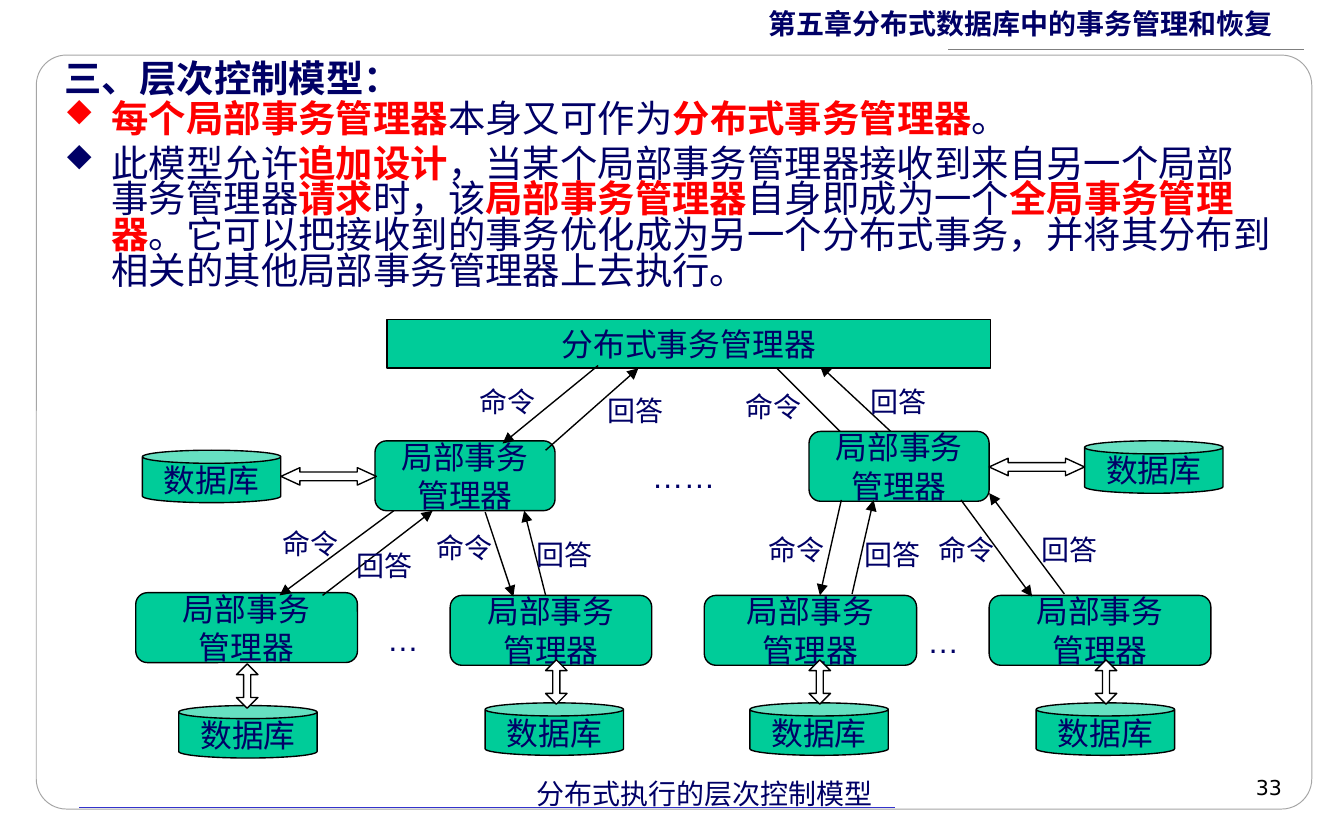
from typing import NamedTuple

import lxml.etree
import pptx
import pptx.dml.color
import pptx.enum.shapes
import pptx.enum.text
import pptx.oxml.ns
import pptx.util

Inches = pptx.util.Inches
Pt = pptx.util.Pt
RGB = pptx.dml.color.RGBColor
Kind = pptx.enum.shapes.MSO_SHAPE
Align = pptx.enum.text.PP_ALIGN
Anchor = pptx.enum.text.MSO_ANCHOR
qn = pptx.oxml.ns.qn

NAVY = RGB(0x00, 0x00, 0x66)
RED = RGB(0xFF, 0x00, 0x00)
GREEN = RGB(0x00, 0xCC, 0x99)
WHITE = RGB(0xFF, 0xFF, 0xFF)
BLACK = RGB(0x00, 0x00, 0x00)
BLUE = RGB(0x33, 0x33, 0xCC)
GREY = RGB(0x7F, 0x7F, 0x7F)
PALE = RGB(0xA5, 0xA5, 0xA5)
CJK = "Noto Sans CJK SC"
LOCAL = "局部事务\n管理器"


class Node(NamedTuple):
    kind: Kind
    left: float
    top: float
    width: float
    height: float
    text: str = ""
    adj: tuple = ()


class Link(NamedTuple):
    x1: float
    y1: float
    x2: float
    y2: float


class Label(NamedTuple):
    text: str
    left: float
    top: float


def local(left: float, top: float, width: float) -> Node:
    return Node(Kind.ROUNDED_RECTANGLE, left, top, width, 0.52, LOCAL)


def store(left: float, top: float) -> Node:
    return Node(Kind.CAN, left, top, 1.03, 0.39, "数据库")


def across(left: float, top: float) -> Node:
    return Node(Kind.LEFT_RIGHT_ARROW, left, top, 0.71, 0.13, adj=(0.5, 1.09))


def upright(left: float, top: float) -> Node:
    return Node(Kind.UP_DOWN_ARROW, left, top, 0.16, 0.33, adj=(0.5, 0.33))


NODES = [
    Node(Kind.RECTANGLE, 2.88, 2.38, 4.49, 0.36, "分布式事务管理器"),
    local(2.79, 3.28, 1.34), local(6.02, 3.21, 1.34),
    local(1.01, 4.41, 1.65), local(3.35, 4.43, 1.5),
    local(5.24, 4.43, 1.58), local(7.36, 4.43, 1.65),
    store(1.06, 3.35), store(8.07, 3.28),
    store(1.33, 5.25), store(3.61, 5.23), store(5.58, 5.23), store(7.71, 5.23),
    across(2.09, 3.48), across(7.36, 3.41),
    upright(1.76, 4.94), upright(4.06, 4.91), upright(6.02, 4.91), upright(8.15, 4.91),
]
# These two run on behind the right-hand manager box.
BEHIND = [Link(5.78, 2.74, 6.42, 3.38), Link(6.81, 3.38, 6.1, 2.72)]
LINKS = [
    Link(4.45, 2.72, 3.74, 3.3), Link(4.06, 3.35, 4.75, 2.74),
    Link(2.93, 3.8, 2.08, 4.43), Link(2.4, 4.43, 3.22, 3.8),
    Link(3.61, 3.81, 3.82, 4.44), Link(4.06, 4.43, 3.9, 3.8),
    Link(6.26, 3.72, 6.1, 4.43), Link(6.34, 4.42, 6.5, 3.72),
    Link(7.15, 3.72, 7.68, 4.44), Link(7.92, 4.42, 7.36, 3.67),
]
ORDERS = [(3.48, 2.81), (5.46, 2.85), (2.01, 3.87), (3.16, 3.9), (5.63, 3.91), (6.89, 3.91)]
REPLIES = [(4.43, 2.88), (6.39, 2.81), (2.56, 4.03), (3.9, 3.95), (6.34, 3.95), (7.66, 3.91)]
LABELS = [Label("命令", *at) for at in ORDERS] + [Label("回答", *at) for at in REPLIES]
DOTS = [Label("……", 4.76, 3.35), Label("…", 2.79, 4.56), Label("…", 6.81, 4.58)]

# Text between asterisks is red and bold.
POINTS = [
    (0.7, RED, "*每个局部事务管理器*本身又可作为*分布式事务管理器*。"),
    (0.8, NAVY, "此模型允许*追加设计*，当某个局部事务管理器接收到来自另一个局部\v"
     "事务管理器*请求*时，该*局部事务管理器*自身即成为一个*全局事务管理器*"
     "。它可以把接收到的事务优化成为另一个分布式事务，并将其分布到相关的其他局部事务管理器上去执行。"),
]


def style(para, size: float, name: str = "Arial", color: RGB = NAVY, bold: bool = False) -> None:
    font = para.font
    font.size, font.name, font.bold = Pt(size), name, bold
    font.color.rgb = color
    latin = para._p.pPr.find(qn("a:defRPr")).find(qn("a:latin"))
    latin.addnext(lxml.etree.Element(qn("a:ea"), typeface=CJK))


def inset(frame, wrap: bool) -> None:
    frame.word_wrap = wrap
    frame.auto_size = pptx.enum.text.MSO_AUTO_SIZE.NONE
    frame.margin_left = frame.margin_right = Inches(0.09)
    frame.margin_top = frame.margin_bottom = Inches(0.05)


def write(slide, text: str, left: float, top: float, width: float, height: float,
          size: float, wrap: bool = False):
    """Add a text box and return its paragraph."""
    box = slide.shapes.add_textbox(Inches(left), Inches(top), Inches(width), Inches(height))
    inset(box.text_frame, wrap)
    para = box.text_frame.paragraphs[0]
    para.text = text
    style(para, size)
    return para


def draw(slide, node: Node, fill: RGB, line: RGB = BLACK, weight: float = 0.75):
    shape = slide.shapes.add_shape(node.kind, Inches(node.left), Inches(node.top),
                                   Inches(node.width), Inches(node.height))
    shape.shadow.inherit = False
    shape.fill.solid()
    shape.fill.fore_color.rgb = fill
    shape.line.color.rgb = line
    shape.line.width = Pt(weight)
    for i, value in enumerate(node.adj):
        shape.adjustments[i] = value
    if node.text:
        frame = shape.text_frame
        inset(frame, False)
        frame.vertical_anchor = Anchor.MIDDLE
        frame.text = node.text
        for para in frame.paragraphs:
            para.alignment = Align.CENTER
            style(para, 17)
    return shape


def join(slide, link: Link, color: RGB = BLACK, weight: float = 0.75, head: bool = True) -> None:
    line = slide.shapes.add_connector(pptx.enum.shapes.MSO_CONNECTOR.STRAIGHT,
                                      *[Inches(v) for v in link])
    line.line.color.rgb = color
    line.line.width = Pt(weight)
    if head:
        lxml.etree.SubElement(line.line._get_or_add_ln(), qn("a:tailEnd"), type="triangle")
    lxml.etree.SubElement(line._element.spPr, qn("a:effectLst"))


def bullet(para, color: RGB) -> None:
    props = para._p.get_or_add_pPr()
    tint = lxml.etree.SubElement(props, qn("a:buClr"))
    lxml.etree.SubElement(tint, qn("a:srgbClr"), val=str(color))
    lxml.etree.SubElement(props, qn("a:buSzPct"), val="80000")
    # In Wingdings the letter u is a diamond.
    lxml.etree.SubElement(props, qn("a:buFont"), typeface="Wingdings", charset="2")
    lxml.etree.SubElement(props, qn("a:buChar"), char="u")


def hang(para) -> None:
    """Indent all but the first line, and keep punctuation inside the margin."""
    props = para._p.get_or_add_pPr()
    props.set("marL", str(Inches(0.35)))
    props.set("indent", str(-Inches(0.35)))
    props.set("hangingPunct", "0")


def mark(para, text: str) -> None:
    """Add runs, with every second part between asterisks in red bold."""
    for i, part in enumerate(text.split("*")):
        for j, piece in enumerate(part.split("\v")):
            if j:
                para.add_line_break()
            if piece:
                run = para.add_run()
                run.text = piece
                if i % 2:
                    run.font.bold = True
                    run.font.color.rgb = RED


def frame_page(slide) -> None:
    title = slide.shapes.title
    title.left, title.top = Inches(5.63), Inches(0.03)
    title.width, title.height = Inches(4.37), Inches(0.32)
    inset(title.text_frame, True)
    title.text_frame.vertical_anchor = Anchor.TOP
    para = title.text_frame.paragraphs[0]
    para.text = "第五章分布式数据库中的事务管理和恢复"
    para.alignment, para.line_spacing = Align.LEFT, 0.9
    style(para, 15, "Times New Roman", bold=True)

    panel = draw(slide, Node(Kind.ROUNDED_RECTANGLE, 0.27, 0.41, 9.49, 5.61, adj=(0.04,)),
                 WHITE, PALE, 0.5)
    tint = panel._element.spPr.find(qn("a:solidFill"))[0]
    lxml.etree.SubElement(tint, qn("a:alpha"), val="85000")
    join(slide, Link(0.59, 6.01, 6.66, 6.01), BLUE, 0.25, False)
    join(slide, Link(9.7, 0.37, 7.05, 0.37), GREY, 0.75, False)
    page = write(slide, "33", 7.13, 5.72, 2.5, 0.28, 11, True)
    page.alignment = Align.RIGHT
    page.font.name, page.font.color.rgb = "DejaVu Sans", BLACK


def list_points(slide) -> None:
    head = write(slide, "三、层次控制模型：", 0.39, 0.45, 9.26, 1.93, 20, True)
    hang(head)
    head.line_spacing = 0.7
    head.font.name, head.font.bold = "Times New Roman", True
    for gap, color, text in POINTS:
        para = head._parent.add_paragraph()
        hang(para)
        para.line_spacing, para.space_before = gap, Pt(5)
        bullet(para, color)
        style(para, 20, "Times New Roman")
        mark(para, text)


def main() -> None:
    deck = pptx.Presentation()
    deck.slide_width, deck.slide_height = Inches(10), Inches(6.25)
    slide = deck.slides.add_slide(deck.slide_layouts[5])
    frame_page(slide)
    list_points(slide)
    for link in BEHIND:
        join(slide, link)
    for node in NODES:
        draw(slide, node, GREEN if node.text else WHITE)
    for link in LINKS:
        join(slide, link)
    for label in LABELS:
        write(slide, *label, 0.6, 0.34, 15)
    for dots in DOTS:
        write(slide, *dots, 0.24 * len(dots.text) + 0.18, 0.38, 17)
    write(slide, "分布式执行的层次控制模型", 3.9, 5.73, 2.79, 0.34, 15, True)
    deck.save("out.pptx")


if __name__ == "__main__":
    main()
